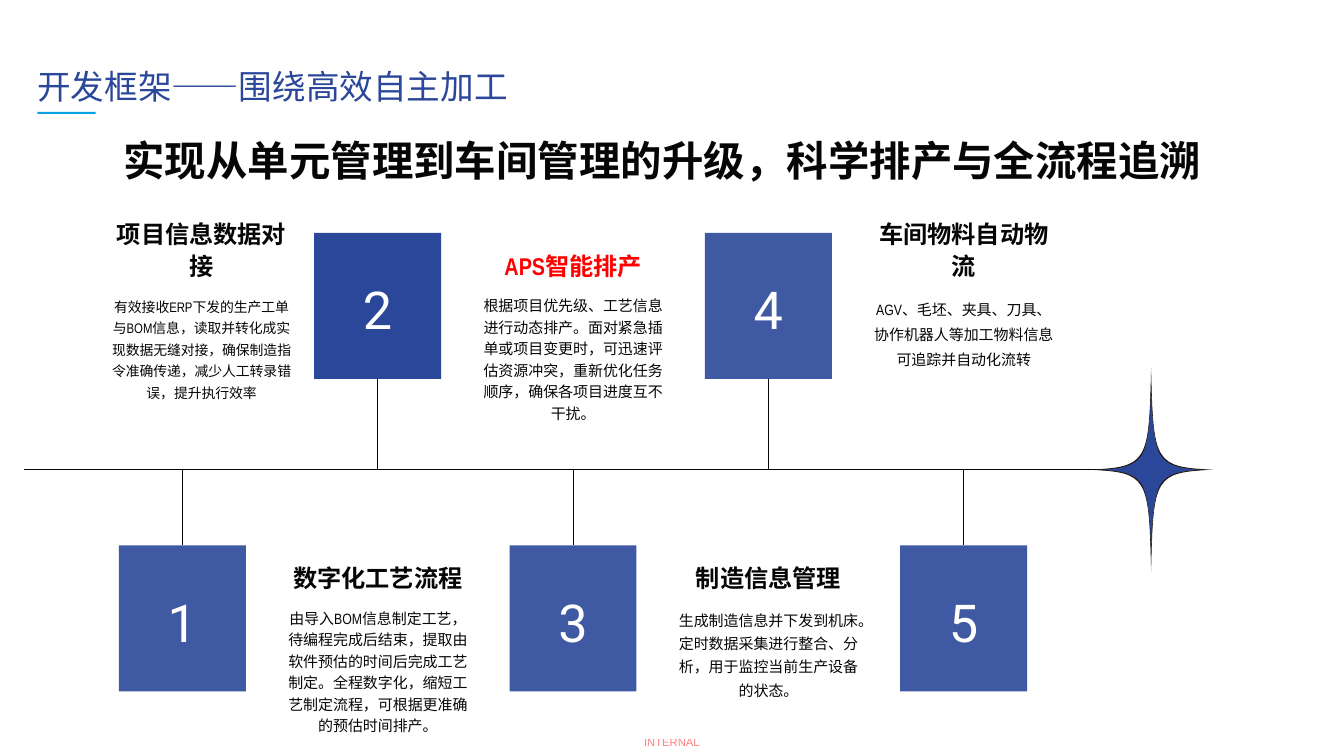
from dataclasses import dataclass
from lxml.etree import SubElement
from pptx import Presentation
from pptx.dml.color import RGBColor
from pptx.enum.shapes import MSO_CONNECTOR, MSO_SHAPE
from pptx.enum.text import MSO_ANCHOR, MSO_AUTO_SIZE, PP_ALIGN
from pptx.oxml.ns import qn
from pptx.util import Inches, Pt


@dataclass(frozen=True)
class Theme:
    blue: str = "2B4799"
    cyan: str = "07A0E1"
    ink: str = "060606"
    edge: str = "231815"
    red: str = "FF0000"
    white: str = "FFFFFF"
    font: str = "Arial Narrow"
    label_font: str = "Arial"
    number_font: str = "Roboto"
    title: float = 24
    headline: float = 29.6
    number: float = 37.3
    heading: float = 17.3
    body: float = 10.7
    small_body: float = 9.9
    label: float = 8


theme = Theme()


def write(shape, text, size, color=theme.ink, font=theme.font, bold=False, spacing=1.0,
          align=PP_ALIGN.CENTER, anchor=MSO_ANCHOR.TOP, inset=(0.1, 0.05), wrap=True):
    frame = shape.text_frame
    frame.word_wrap = wrap
    frame.auto_size = MSO_AUTO_SIZE.NONE
    frame.vertical_anchor = anchor
    frame.margin_left = frame.margin_right = Inches(inset[0])
    frame.margin_top = frame.margin_bottom = Inches(inset[1])
    para = frame.paragraphs[0]
    para.alignment = align
    para.line_spacing = spacing
    para.space_before = Pt(0)
    span = para.add_run()
    span.text = text
    span.font.size = Pt(size)
    span.font.name = font
    span.font.bold = bold
    span.font.color.rgb = RGBColor.from_string(color)
    return span


def star_outline(center, quarter):
    points = []
    for sign_x, sign_y, order in ((1, -1, 1), (1, 1, -1), (-1, 1, 1), (-1, -1, -1)):
        corner = [(Inches(center[0] + sign_x * x), Inches(center[1] + sign_y * y))
                  for x, y in quarter[::order]]
        points += corner[1:] if points else corner
    return points


deck = Presentation()
deck.slide_width, deck.slide_height = Inches(40 / 3), Inches(7.5)
page = deck.slides.add_slide(deck.slide_layouts[5])
shapes = page.shapes

title = shapes.title
title.left, title.top, title.width, title.height = map(Inches, (0.37, 0.34, 10.6, 0.72))
write(title, "开发框架——围绕高效自主加工", theme.title, theme.blue, spacing=0.9,
      align=PP_ALIGN.LEFT, anchor=MSO_ANCHOR.BOTTOM, inset=(0, 0))

accent = shapes.add_shape(MSO_SHAPE.RECTANGLE, *map(Inches, (0.37, 1.11, 0.58, 0.02)))
accent.shadow.inherit = False
accent.fill.solid()
accent.fill.fore_color.rgb = RGBColor.from_string(theme.cyan)
accent.line.fill.background()

label = shapes.add_textbox(*map(Inches, (6.39, 7.3, 0.61, 0.13)))
label_span = write(label, "INTERNAL", theme.label, theme.red, theme.label_font,
                   align=PP_ALIGN.LEFT, inset=(0, 0), wrap=False)
translucent = [(label_span.font.fill, 50)]

pitch = 1.9375
square_left, square_width, square_height = 1.18, 1.26, 1.45
square_tops = (5.41, 2.31)
axis_y = 4.66

lines = [(0.24, axis_y, 11.45, axis_y)]
for index in range(5):
    middle = square_left + square_width / 2 + index * pitch
    edge_y = square_tops[1] + square_height if index % 2 else square_tops[0]
    lines.append((middle, edge_y, middle, axis_y))
for ends in lines:
    line = shapes.add_connector(MSO_CONNECTOR.STRAIGHT, *map(Inches, ends))
    line.line.color.rgb = RGBColor.from_string(theme.ink)
    line.line.width = Pt(0.5)
    SubElement(line._element.spPr, qn("a:effectLst"))

center = (11.42, 4.66)
core = star_outline(center, [(0, 0.88), (0.01, 0.5), (0.02, 0.28), (0.09, 0.16),
                             (0.17, 0.03), (0.3, 0.01), (0.55, 0)])
rim = star_outline(center, [(0, 1.01), (0.02, 0.06), (0.04, 0.03), (0.61, 0)])
hole = star_outline(center, [(0, 0.78), (0.01, 0.45), (0.03, 0.26), (0.09, 0.15),
                             (0.16, 0.04), (0.28, 0.01), (0.5, 0)])[::-1]
for contours, color in (([core], theme.blue), ([rim, hole], theme.edge)):
    builder = shapes.build_freeform(*contours[0][0])
    builder.add_line_segments(contours[0][1:], close=True)
    for contour in contours[1:]:
        builder.move_to(*contour[0])
        builder.add_line_segments(contour[1:], close=True)
    star = builder.convert_to_shape()
    star.shadow.inherit = False
    star.fill.solid()
    star.fill.fore_color.rgb = RGBColor.from_string(color)
    star.line.fill.background()
    segments = list(star._element.iter(qn("a:lnTo")))
    for first in range(0, len(segments), 3):
        outline = segments[first].getparent()
        curve = SubElement(outline, qn("a:cubicBezTo"))
        outline.insert(outline.index(segments[first]), curve)
        for segment in segments[first:first + 3]:
            curve.append(segment[0])
            outline.remove(segment)

headline = shapes.add_textbox(*map(Inches, (0.95, 1.35, 11.25, 0.55)))
write(headline, "实现从单元管理到车间管理的升级，科学排产与全流程追溯", theme.headline,
      bold=True, spacing=0.9)

captions = [
    ("项目信息数据对接", theme.ink, theme.small_body, 1.3, 1.21,
     "有效接收ERP下发的生产工单与BOM信息，读取并转化成实现数据无缝对接，确保制造指令准确传递，减少人工转录错误，提升执行效率"),
    ("数字化工艺流程", theme.ink, theme.body, 1.2, 1.21,
     "由导入BOM信息制定工艺，待编程完成后结束，提取由软件预估的时间后完成工艺制定。全程数字化，缩短工艺制定流程，可根据更准确的预估时间排产。"),
    ("APS智能排产", theme.red, theme.body, 1.2, 1.45,
     "根据项目优先级、工艺信息进行动态排产。面对紧急插单或项目变更时，可迅速评估资源冲突，重新优化任务顺序，确保各项目进度互不干扰。"),
    ("制造信息管理", theme.ink, theme.body, 1.3, 1.21,
     "生成制造信息并下发到机床。定时数据采集进行整合、分析，用于监控当前生产设备的状态。"),
    ("车间物料自动物流", theme.ink, theme.body, 1.4, 1.21,
     "AGV、毛坯、夹具、刀具、协作机器人等加工物料信息可追踪并自动化流转"),
]
for index, (heading, color, size, spacing, height, body) in enumerate(captions):
    square = shapes.add_shape(MSO_SHAPE.RECTANGLE, *map(Inches, (
        square_left + index * pitch, square_tops[index % 2], square_width, square_height)))
    square.shadow.inherit = False
    square.fill.solid()
    square.fill.fore_color.rgb = RGBColor.from_string(theme.blue)
    square.line.fill.background()
    if index != 1:
        translucent.append((square.fill, 90))
    write(square, str(index + 1), theme.number, theme.white, theme.number_font,
          spacing=1.1, anchor=MSO_ANCHOR.MIDDLE)

    upper = index % 2 == 0
    left = 2.7 + (index - 1) * pitch if index else 0.95
    top = 2.1 if upper else 5.2
    heading_box = shapes.add_textbox(*map(Inches, (left, top, 2.1, 0.75)))
    write(heading_box, heading, theme.heading, color, bold=True, spacing=1.1 if upper else 1.0,
          anchor=MSO_ANCHOR.BOTTOM, inset=(0.13, 0.07))
    body_box = shapes.add_textbox(*map(Inches, (left, top + 0.74, 2.1, height)))
    write(body_box, body, size, spacing=spacing, inset=(0.13, 0.07))

for fill, percent in translucent:
    color_node = fill._xPr.find(qn("a:solidFill"))[0]
    SubElement(color_node, qn("a:alpha")).set("val", str(percent * 1000))

deck.save("out.pptx")
